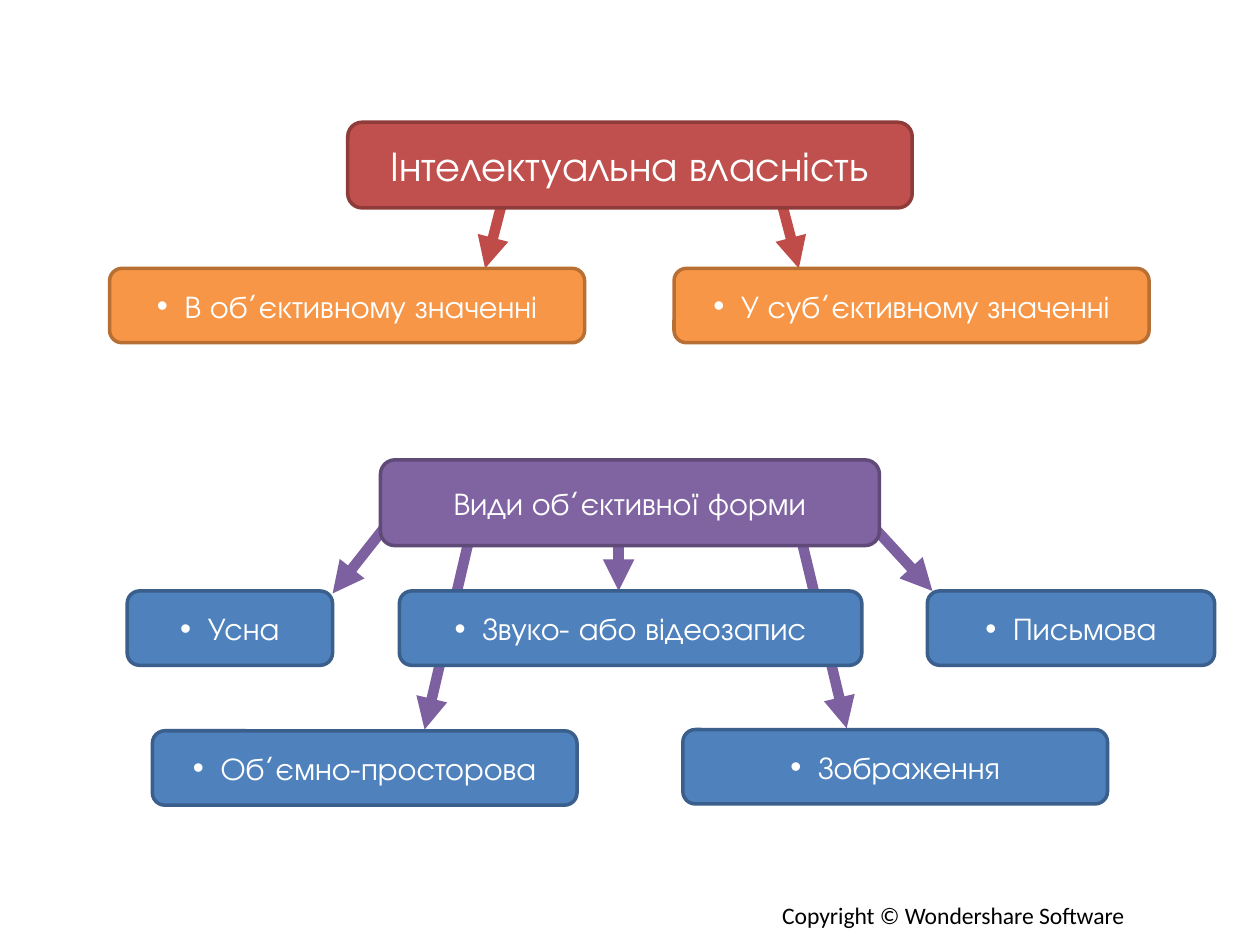
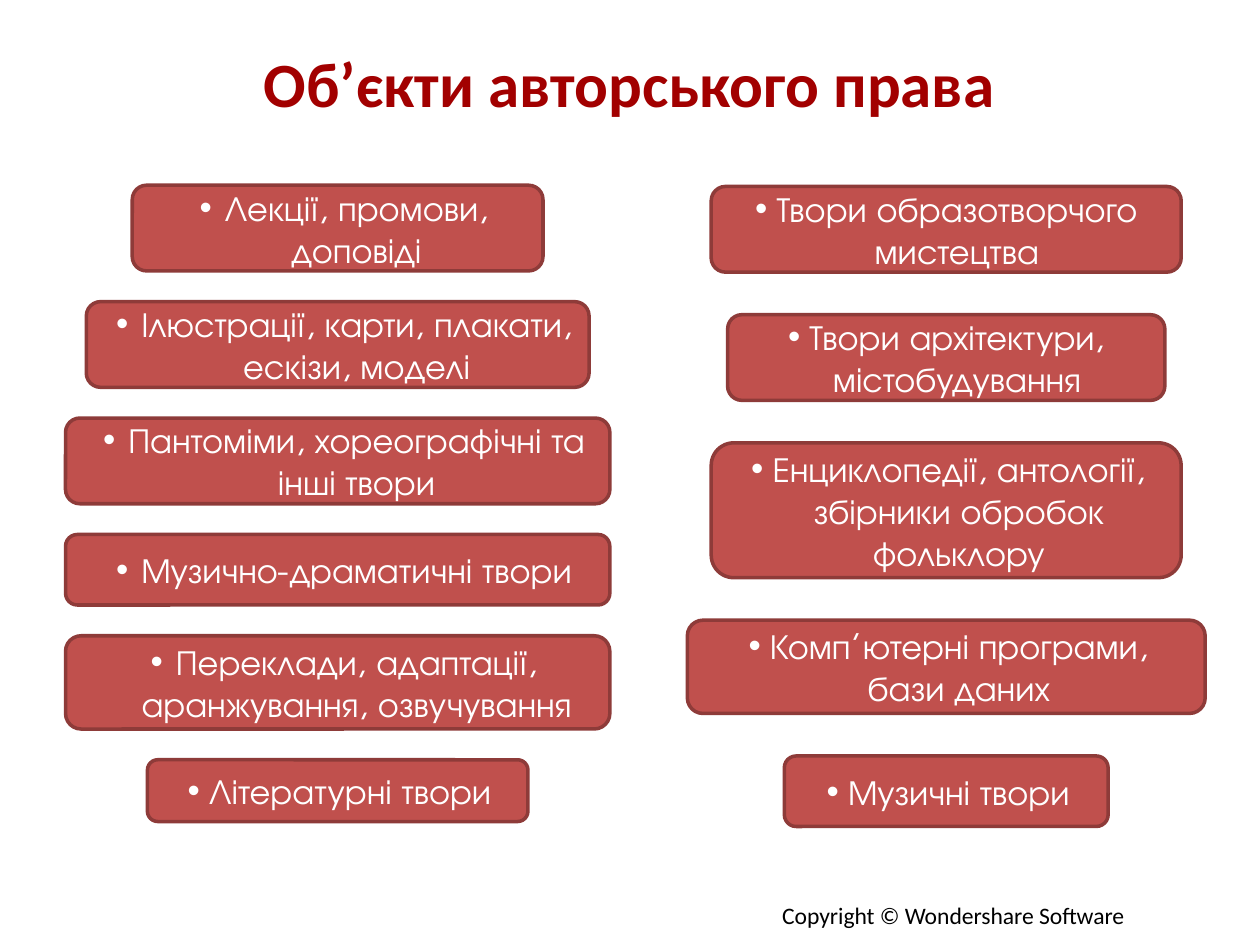
from lxml.etree import SubElement
from pptx import Presentation
from pptx.dml.color import RGBColor
from pptx.enum.shapes import MSO_CONNECTOR, MSO_SHAPE
from pptx.enum.text import MSO_ANCHOR, MSO_AUTO_SIZE, PP_ALIGN
from pptx.oxml.ns import qn
from pptx.util import Inches, Pt

SLIDE_WIDTH, SLIDE_HEIGHT = Inches(10), Inches(7.5)
COLUMN, ROW = SLIDE_WIDTH / 100, SLIDE_HEIGHT / 75
BLANK_LAYOUT, TITLE_LAYOUT = 6, 5

COLORS = {
    "red": "C0504D", "red_edge": "8E3B39", "red_arrow": "BF4C48",
    "orange": "F79646", "orange_edge": "B76F34",
    "purple": "8064A2", "purple_edge": "5F4A78", "purple_arrow": "7D60A0",
    "blue": "4F81BD", "blue_edge": "3A5F8C",
    "title": "A20000", "black": "000000", "white": "FFFFFF",
}
BOX_FONT = {"name": "TeX Gyre Adventor", "size": Pt(18)}
ROOT_FONT = {**BOX_FONT, "size": Pt(24)}
LIST_FONT = {**BOX_FONT, "size": Pt(20)}
TITLE_FONT = {"name": "Calibri", "size": Pt(36), "bold": True}
FOOTER_FONT = {"name": "Calibri", "size": Pt(13.5)}

BRANCH_INDENT = (0.22, -0.22)
WIDE_INDENT = (0.3, -0.2)
TIGHT_INDENT = (0.17, -0.17)
MIDDLE_INDENT = (0.2, -0.17)

ROOT_HEIGHT, BRANCH_HEIGHT = 6.8, 5.9

ROOTS = [
    ("Інтелектуальна власність", 27.6, 9.7, 44.8, "red", ROOT_FONT),
    ("Види об’єктивної форми", 30.2, 36.5, 39.6, "purple", BOX_FONT),
]
BRANCHES = [
    ("В об’єктивному значенні", 8.7, 21.3, 37.7, "orange"),
    ("У суб’єктивному значенні", 53.5, 21.3, 37.7, "orange"),
    ("Усна", 10.1, 46.9, 16.3, "blue"),
    ("Звуко- або відеозапис", 31.7, 46.9, 36.7, "blue"),
    ("Письмова", 73.6, 46.9, 22.8, "blue"),
    ("Об’ємно-просторова", 12.1, 58, 33.7, "blue"),
    ("Зображення", 54.2, 57.9, 33.7, "blue"),
]
ARROWS = [
    ("red_arrow", (40.1, 15.1), (38.5, 21.3)),
    ("red_arrow", (61.8, 15.2), (63.4, 21.3)),
    ("purple_arrow", (31.2, 41), (26.4, 47.1)),
    ("purple_arrow", (49.1, 38.8), (49.1, 46.9)),
    ("purple_arrow", (68.3, 40.7), (74, 46.9)),
    ("purple_arrow", (63.5, 42.4), (67.2, 57.8)),
    ("purple_arrow", (37.3, 42.5), (33.7, 57.9)),
]
LEFT_OBJECTS = [
    ("Лекції, промови, доповіді", 32.6, 6.8, WIDE_INDENT),
    ("Ілюстрації, карти, плакати, ескізи, моделі", 39.9, 6.8, WIDE_INDENT),
    ("Пантоміми, хореографічні та інші твори", 43.2, 6.8, WIDE_INDENT),
    ("Музично-драматичні твори", 43.2, 5.6, WIDE_INDENT),
    ("Переклади, адаптації, аранжування, озвучування", 43.2, 7.4, WIDE_INDENT),
    ("Літературні твори", 30.2, 4.9, MIDDLE_INDENT),
]
RIGHT_OBJECTS = [
    ("Твори образотворчого мистецтва", 37.3, 6.8, TIGHT_INDENT),
    ("Твори архітектури, містобудування", 34.7, 6.8, TIGHT_INDENT),
    ("Енциклопедії, антології, збірники обробок фольклору", 37.3, 10.7, MIDDLE_INDENT),
    ("Комп’ютерні програми, бази даних", 41.1, 7.4, MIDDLE_INDENT),
    ("Музичні твори", 25.7, 5.6, MIDDLE_INDENT),
]


def color(name):
    return RGBColor.from_string(COLORS[name])


def place(left, top, width, height):
    return (round(left * COLUMN), round(top * ROW),
            round(width * COLUMN), round(height * ROW))


def write(para, text, font, color_name):
    span = para.add_run()
    span.text = text
    for name, value in font.items():
        setattr(span.font, name, value)
    span.font.color.rgb = color(color_name)


def add_bullet(para, indent):
    properties = para._p.get_or_add_pPr()
    for name, inches in zip(("marL", "indent"), indent):
        properties.set(name, str(Inches(inches)))
    SubElement(properties, qn("a:buFont")).set("typeface", "Arial")
    SubElement(properties, qn("a:buChar")).set("char", "•")


def add_box(page, text, area, fill, font, indent=None):
    box = page.shapes.add_shape(MSO_SHAPE.ROUNDED_RECTANGLE, *place(*area))
    box.shadow.inherit = False
    box.fill.solid()
    box.fill.fore_color.rgb = color(fill)
    box.line.color.rgb = color(f"{fill}_edge")
    box.line.width = Pt(2)
    box.text_frame.word_wrap = True
    box.text_frame.vertical_anchor = MSO_ANCHOR.MIDDLE
    para = box.text_frame.paragraphs[0]
    para.alignment = PP_ALIGN.CENTER
    if indent:
        add_bullet(para, indent)
    write(para, text, font, "white")


def add_arrow(page, color_name, start, end):
    arrow = page.shapes.add_connector(
        MSO_CONNECTOR.STRAIGHT, *place(*start, *end))
    arrow.line.color.rgb = color(color_name)
    arrow.line.width = Pt(6)
    SubElement(arrow.line._get_or_add_ln(), qn("a:tailEnd")).set("type", "triangle")
    SubElement(arrow._element.spPr, qn("a:effectLst"))


def add_stack(page, objects, center, top, bottom):
    used = sum(height for _, _, height, _ in objects)
    gap = (bottom - top - used) / (len(objects) - 1)
    for text, width, height, indent in objects:
        area = (center - width / 2, top, width, height)
        add_box(page, text, area, "red", LIST_FONT, indent)
        top += height + gap


def add_title(page, text):
    title = page.shapes.title
    title.left, title.top, title.width, title.height = place(17.4, 3.1, 65.1, 6.8)
    frame = title.text_frame
    frame.auto_size = MSO_AUTO_SIZE.NONE
    frame.vertical_anchor = MSO_ANCHOR.MIDDLE
    frame.paragraphs[0].alignment = PP_ALIGN.CENTER
    write(frame.paragraphs[0], text, TITLE_FONT, "title")


def add_page(deck, layout):
    page = deck.slides.add_slide(deck.slide_layouts[layout])
    footer = page.shapes.add_textbox(*place(61.1, 71, 29.7, 3.3))
    footer.text_frame.word_wrap = False
    write(footer.text_frame.paragraphs[0],
          "Copyright © Wondershare Software", FOOTER_FONT, "black")
    return page


def build_property_page(deck):
    page = add_page(deck, BLANK_LAYOUT)
    for arrow in ARROWS:
        add_arrow(page, *arrow)
    for text, left, top, width, fill, font in ROOTS:
        add_box(page, text, (left, top, width, ROOT_HEIGHT), fill, font)
    for text, left, top, width, fill in BRANCHES:
        area = (left, top, width, BRANCH_HEIGHT)
        add_box(page, text, area, fill, BOX_FONT, BRANCH_INDENT)


def build_objects_page(deck):
    page = add_page(deck, TITLE_LAYOUT)
    add_title(page, "Об’єкти авторського права")
    add_stack(page, LEFT_OBJECTS, center=26.8, top=14.7, bottom=65.2)
    add_stack(page, RIGHT_OBJECTS, center=75.1, top=14.8, bottom=65.6)


def main():
    deck = Presentation()
    deck.slide_width, deck.slide_height = SLIDE_WIDTH, SLIDE_HEIGHT
    build_property_page(deck)
    build_objects_page(deck)
    deck.save("out.pptx")


if __name__ == "__main__":
    main()
